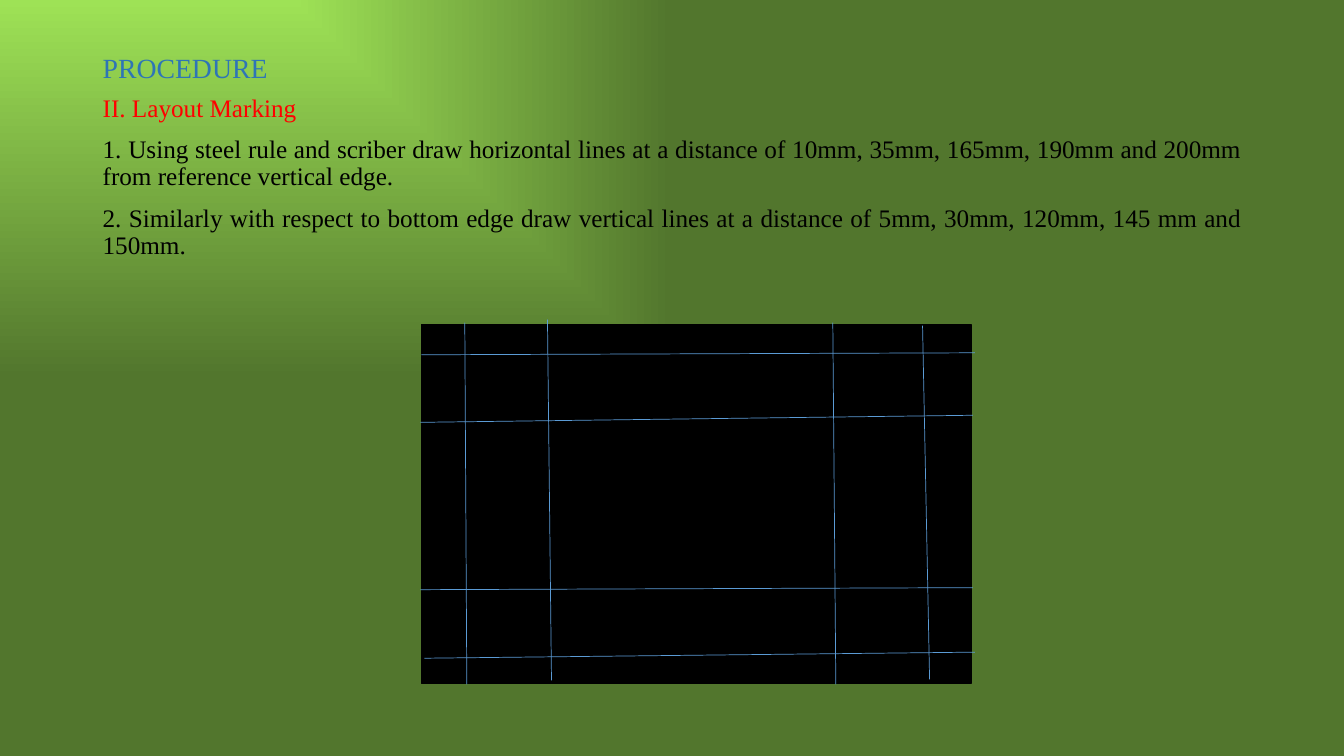
from lxml.etree import SubElement
from pptx import Presentation
from pptx.dml.color import RGBColor
from pptx.enum.shapes import MSO_CONNECTOR, MSO_SHAPE
from pptx.enum.text import MSO_ANCHOR, PP_ALIGN
from pptx.oxml.ns import qn
from pptx.util import Inches, Pt

# Content
WIDTH, HEIGHT = 13.33, 7.5
BACKGROUND = ("9EE256", "52762D")
FONT = "Times New Roman"
LEFT, TEXT_WIDTH = 0.92, 11.5

HEADING = [("PROCEDURE", "2E75B6")]
STEPS = [
    ("II. Layout Marking", "FF0000"),
    ("1. Using steel rule and scriber draw horizontal lines at a distance of 10mm, "
     "35mm, 165mm, 190mm and 200mm from reference vertical edge.", "000000"),
    ("2. Similarly with respect to bottom edge draw vertical lines at a distance of "
     "5mm, 30mm, 120mm, 145 mm and 150mm.", "000000"),
]
# top, height, top inset, size, alignment, paragraphs
TEXTS = [
    (0.4, 0.35, 0.14, 19.8, PP_ALIGN.LEFT, HEADING),
    (0.9, 5.86, 0.05, 18, PP_ALIGN.JUSTIFY, STEPS),
]

PLATE = (4.18, 3.22, 5.45, 3.56)
# Hand-scribed lines, slightly off square: x1, y1, x2, y2
HORIZONTAL_MARKS = [
    (4.18, 3.52, 9.67, 3.5),
    (9.65, 4.12, 4.17, 4.19),
    (4.17, 5.85, 9.65, 5.83),
    (4.21, 6.53, 9.67, 6.47),
]
VERTICAL_MARKS = [
    (4.61, 3.2, 4.63, 6.79),
    (5.43, 3.17, 5.47, 6.75),
    (8.26, 3.2, 8.29, 6.79),
    (9.15, 3.23, 9.22, 6.74),
]


def color(value):
    return RGBColor.from_string(value)


def inches(values):
    return [Inches(v) for v in values]


def set_background(s):
    fill = s.background.fill
    fill.gradient()
    for stop, value, position in zip(fill.gradient_stops, BACKGROUND, (0, 1)):
        stop.color.rgb = color(value)
        stop.position = position
    # Spread from the top left corner
    grad = s.element.find(".//" + qn("a:gradFill"))
    grad.remove(grad.find(qn("a:lin")))
    spread = SubElement(grad, qn("a:path"), {"path": "rect"})
    SubElement(spread, qn("a:fillToRect"), {"r": "100000", "b": "100000"})


def add_text(s, top, height, inset, size, align, paragraphs):
    tf = s.shapes.add_textbox(*inches((LEFT, top, TEXT_WIDTH, height))).text_frame
    frame = {"word_wrap": True, "vertical_anchor": MSO_ANCHOR.TOP,
             "margin_top": Inches(inset), "margin_bottom": 0}
    for name, value in frame.items():
        setattr(tf, name, value)
    for i, (text, value) in enumerate(paragraphs):
        p = tf.add_paragraph() if i else tf.paragraphs[0]
        layout = {"alignment": align, "line_spacing": 0.9,
                  "space_before": Pt(10 if i else 0)}
        for name, setting in layout.items():
            setattr(p, name, setting)
        r = p.add_run()
        r.text = text
        r.font.name, r.font.size = FONT, Pt(size)
        r.font.color.rgb = color(value)


def add_plate(s):
    sp = s.shapes.add_shape(MSO_SHAPE.RECTANGLE, *inches(PLATE))
    sp.shadow.inherit = False
    sp.fill.solid()
    sp.fill.fore_color.rgb = color("000000")
    sp.line.color.rgb = color("000000")
    sp.line.width = Pt(1)


def add_mark(s, ends):
    mark = s.shapes.add_connector(MSO_CONNECTOR.STRAIGHT, *inches(ends))
    mark.line.color.rgb = color("5B9BD5")
    mark.line.width = Pt(0.5)
    SubElement(mark.element.spPr, qn("a:effectLst"))


def main():
    prs = Presentation()
    prs.slide_width, prs.slide_height = inches((WIDTH, HEIGHT))
    s = prs.slides.add_slide(prs.slide_layouts[6])
    set_background(s)

    # Heading and steps
    for text in TEXTS:
        add_text(s, *text)

    # Plate with its scribed lines
    add_plate(s)
    for ends in HORIZONTAL_MARKS + VERTICAL_MARKS:
        add_mark(s, ends)

    prs.save("out.pptx")


if __name__ == "__main__":
    main()
